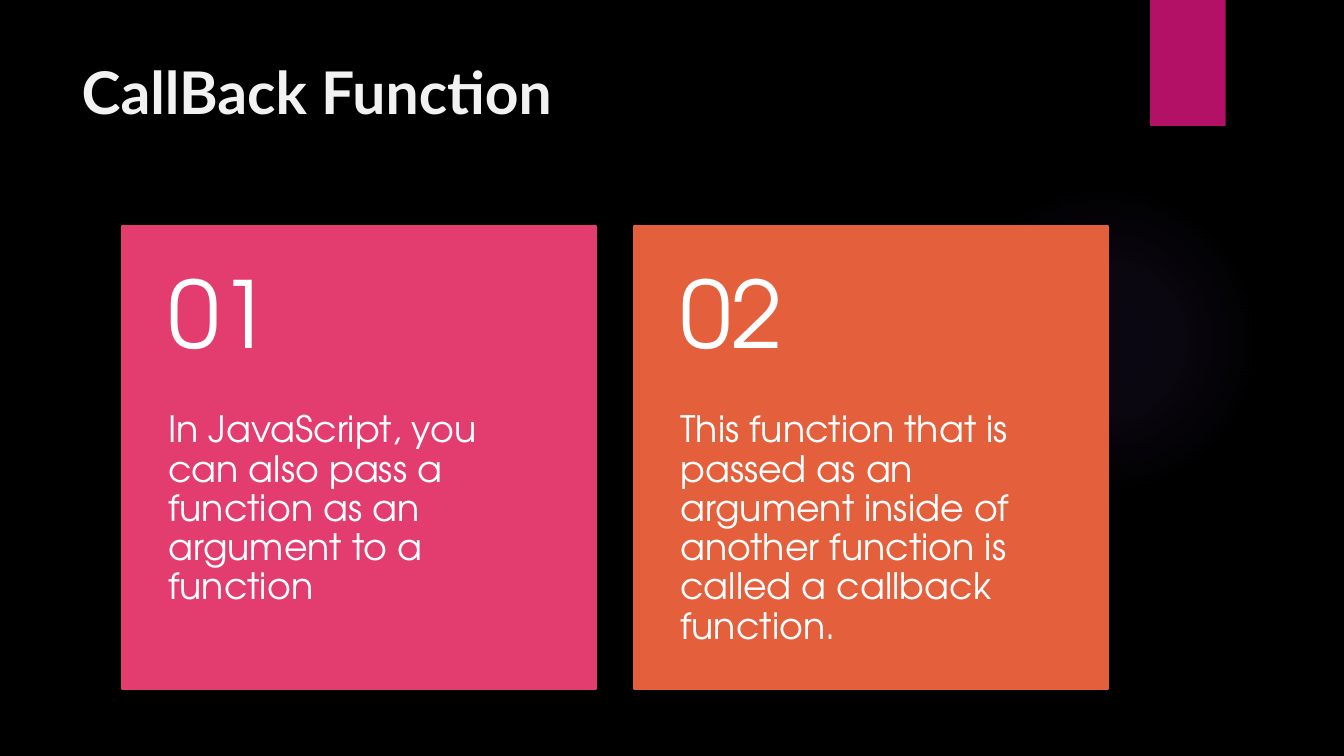
from lxml.etree import fromstring as to_xml
from pptx import Presentation
from pptx.dml.color import RGBColor as RGB
from pptx.enum.shapes import MSO_SHAPE as Shape
from pptx.enum.text import MSO_ANCHOR as Anchor, MSO_AUTO_SIZE as Auto, PP_ALIGN as Align
from pptx.util import Pt

BLACK = RGB(0x00, 0x00, 0x00)
WHITE = RGB(0xFF, 0xFF, 0xFF)
PALE = RGB(0xF2, 0xF2, 0xF2)
PLUM = RGB(0xB3, 0x11, 0x66)
PINK = RGB(0xE3, 0x3D, 0x6F)
ORANGE = RGB(0xE4, 0x5F, 0x3C)
VIOLET = RGB(0x9B, 0x6B, 0xF2)

NS = "http://schemas.openxmlformats.org/drawingml/2006/main"
HEAD = {"name": "Lato", "size": Pt(42), "bold": True}
NUMBER = {"name": "TeX Gyre Adventor", "size": Pt(66)}
BODY = {"name": "TeX Gyre Adventor", "size": Pt(26)}

LEFT, TOP, WIDE, STEP = 87.1, 161.3, 338.4, 365.8
UPPER, LOWER = 132.5, 198
CARDS = [
    (PINK, "In JavaScript, you can also pass a function as an argument to a function"),
    (ORANGE, "This function that is passed as an argument inside of another "
             "function is called a callback function."),
]


def assign(item, values):
    for key, value in values.items():
        setattr(item, key, value)


class Deck:
    def __init__(self):
        self.prs = Presentation()
        assign(self.prs, {"slide_width": Pt(960), "slide_height": Pt(540)})
        self.slide = self.prs.slides.add_slide(self.prs.slide_layouts[5])
        fill = self.slide.background.fill
        fill.solid()
        fill.fore_color.rgb = BLACK

    def label(self, shape, text, style, color, pads, anchor=Anchor.TOP, spacing=0.9):
        """Put one styled paragraph in shape; pads are left, top, right, bottom."""
        frame = shape.text_frame
        sides = ("margin_left", "margin_top", "margin_right", "margin_bottom")
        assign(frame, dict(zip(sides, map(Pt, pads))))
        assign(frame, {"word_wrap": True, "auto_size": Auto.NONE,
                       "vertical_anchor": anchor, "text": text})
        para = frame.paragraphs[0]
        assign(para, {"alignment": Align.LEFT, "line_spacing": spacing})
        font = para.runs[0].font
        assign(font, style)
        font.color.rgb = color

    def title(self, text, box):
        shape = self.slide.shapes.title
        assign(shape, dict(zip(("left", "top", "width", "height"), map(Pt, box))))
        self.label(shape, text, HEAD, PALE, (7.2, 3.6, 7.2, 3.6), spacing=1.0)

    def block(self, box, color, edge=0, home=None, kind=Shape.RECTANGLE):
        """Add a plain filled shape, with an outline of the same colour if edge is set."""
        shape = (home or self.slide).shapes.add_shape(kind, *map(Pt, box))
        shape.shadow.inherit = False
        shape.fill.solid()
        shape.fill.fore_color.rgb = color
        if edge:
            shape.line.color.rgb = color
            shape.line.width = Pt(edge)
        else:
            shape.line.fill.background()
        return shape

    def glow(self, box, color, stops):
        """Add a circle that fades outward; stops are (place, opacity) in percent."""
        shape = self.block(box, color, kind=Shape.OVAL)
        marks = "".join(
            f'<a:gs pos="{place * 1000}"><a:srgbClr val="{color}">'
            f'<a:alpha val="{alpha * 1000}"/></a:srgbClr></a:gs>'
            for place, alpha in stops)
        grad = to_xml(
            f'<a:gradFill xmlns:a="{NS}"><a:gsLst>{marks}</a:gsLst><a:path path="circle">'
            '<a:fillToRect l="50000" t="50000" r="50000" b="50000"/></a:path></a:gradFill>')
        props = shape.element.spPr
        props.replace(props.find(f"{{{NS}}}solidFill"), grad)

    def card(self, left, color, number, text):
        group = self.slide.shapes.add_group_shape()
        self.block((left, TOP, WIDE, UPPER + LOWER), color, 1.5, group)
        body = group.shapes.add_textbox(*map(Pt, (left, TOP + UPPER, WIDE, LOWER)))
        self.label(body, text, BODY, WHITE, (33.1, 0, 33.1, 26))
        head = group.shapes.add_textbox(*map(Pt, (left, TOP, WIDE, UPPER)))
        self.label(head, number, NUMBER, WHITE, (33.1, 13, 33.1, 13), Anchor.MIDDLE)


def main():
    deck = Deck()
    deck.glow((677.5, 131.8, 221.8, 221.8), VIOLET, [(0, 7), (36, 6), (69, 0)])
    deck.block((821.5, 0, 54, 90), PLUM)
    deck.title("CallBack Function", (51.1, 36, 740.9, 110.2))
    for i, (color, text) in enumerate(CARDS):
        deck.card(LEFT + i * STEP, color, f"{i + 1:02}", text)
    deck.prs.save("out.pptx")


if __name__ == "__main__":
    main()
